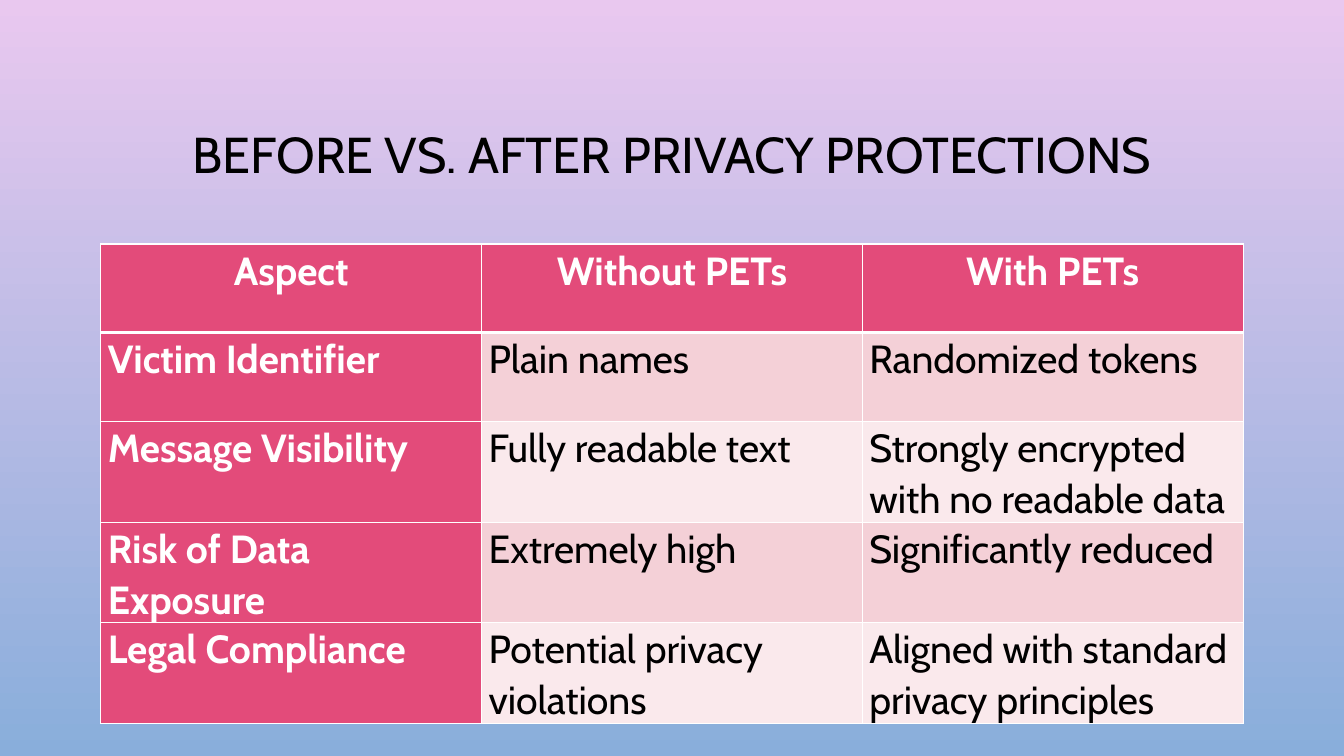
import pptx
import pptx.util
import pptx.dml.color
import pptx.enum.text
import pptx.oxml
import pptx.oxml.ns
from lxml import etree

Inches = pptx.util.Inches
Pt = pptx.util.Pt
RGBColor = pptx.dml.color.RGBColor
ALIGN = pptx.enum.text.PP_ALIGN
ANCHOR = pptx.enum.text.MSO_ANCHOR

BLACK = RGBColor(0x00, 0x00, 0x00)
WHITE = RGBColor(0xFF, 0xFF, 0xFF)
ROSE = RGBColor(0xE3, 0x4B, 0x7A)
BANDS = (RGBColor(0xF4, 0xD0, 0xD7), RGBColor(0xFA, 0xE9, 0xEC))
SKY_TOP = RGBColor(0xE9, 0xC8, 0xEF)
SKY_BOTTOM = RGBColor(0x89, 0xAE, 0xDB)

COMPARISON = [
    ("Aspect", "Without PETs", "With PETs"),
    ("Victim Identifier", "Plain names", "Randomized tokens"),
    ("Message Visibility", "Fully readable text", "Strongly encrypted with no readable data"),
    ("Risk of Data Exposure", "Extremely high", "Significantly reduced"),
    ("Legal Compliance", "Potential privacy violations", "Aligned with standard privacy principles"),
]


class SlideBuilder:
    font_name = "Cabin"
    title_size = Pt(36)
    table_size = Pt(28)

    def __init__(self, page):
        self.page = page

    def background(self, top_color, bottom_color):
        fill = self.page.background.fill
        fill.gradient()
        fill.gradient_angle = 270
        for stop, color, position in zip(fill.gradient_stops, (top_color, bottom_color), (0, 1)):
            stop.color.rgb = color
            stop.position = position

    def style(self, para, size, color, bold=False):
        font = para.font
        font.name, font.size, font.bold = self.font_name, size, bold
        font.color.rgb = color

    def title(self, text, left, top, width, height):
        box = self.page.shapes.add_textbox(left, top, width, height)
        frame = box.text_frame
        frame.word_wrap = True
        frame.vertical_anchor = ANCHOR.MIDDLE
        para = frame.paragraphs[0]
        para.text = text
        para.alignment = ALIGN.CENTER
        para.line_spacing = 0.9
        self.style(para, self.title_size, BLACK)

    def borders(self, cell, top=1, bottom=1):
        properties = cell._tc.get_or_add_tcPr()
        for side, points in (("L", 1), ("R", 1), ("T", top), ("B", bottom)):
            line = etree.SubElement(properties, pptx.oxml.ns.qn(f"a:ln{side}"), w=str(Pt(points)))
            solid = etree.SubElement(line, pptx.oxml.ns.qn("a:solidFill"))
            etree.SubElement(solid, pptx.oxml.ns.qn("a:srgbClr"), val=str(WHITE))

    def cell(self, cell, text, row, column):
        header = row == 0
        strong = header or column == 0
        # Thick rule between the header and the body
        self.borders(cell, top=3 if row == 1 else 1, bottom=3 if header else 1)
        cell.fill.solid()
        cell.fill.fore_color.rgb = ROSE if strong else BANDS[(row - 1) % 2]
        cell.margin_left = cell.margin_right = Inches(0.07)
        cell.margin_top = cell.margin_bottom = 0
        para = cell.text_frame.paragraphs[0]
        para.text = text
        para.alignment = ALIGN.CENTER if header else ALIGN.LEFT
        para.line_spacing = 1.07
        para.space_after = Pt(8)
        self.style(para, self.table_size, WHITE if strong else BLACK, strong)

    def table(self, rows, left, top, width, row_height):
        frame = self.page.shapes.add_table(
            len(rows), len(rows[0]), left, top, width, row_height * len(rows))
        for row, texts in enumerate(rows):
            frame.table.rows[row].height = row_height
            for column, text in enumerate(texts):
                self.cell(frame.table.cell(row, column), text, row, column)


def main():
    deck = pptx.Presentation()
    deck.slide_width, deck.slide_height = Inches(13.33), Inches(7.5)
    builder = SlideBuilder(deck.slides.add_slide(deck.slide_layouts[6]))

    # Backdrop and heading
    builder.background(SKY_TOP, SKY_BOTTOM)
    builder.title("BEFORE VS. AFTER PRIVACY PROTECTIONS",
                  Inches(1), Inches(0.68), Inches(11.33), Inches(1.75))

    # Comparison table
    builder.table(COMPARISON, Inches(1), Inches(2.42), Inches(11.33), Inches(0.88))

    deck.save("out.pptx")


if __name__ == "__main__":
    main()
